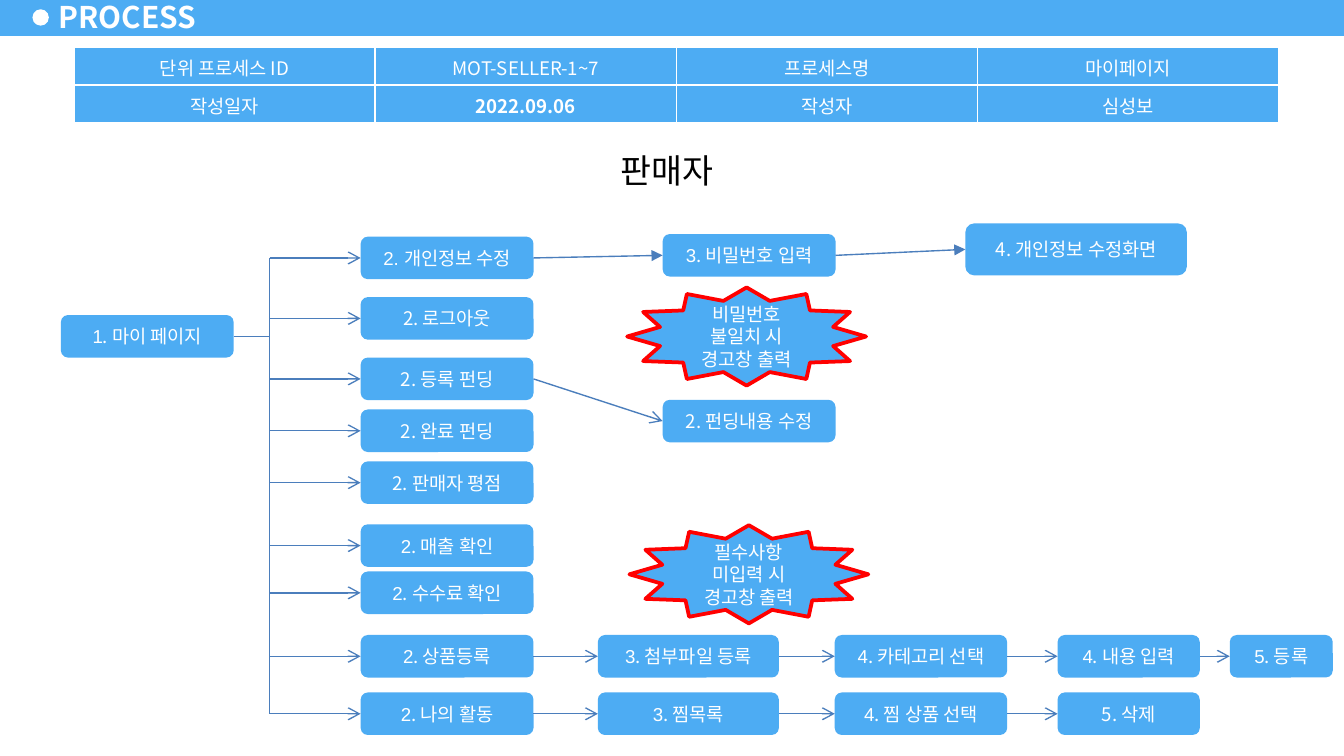
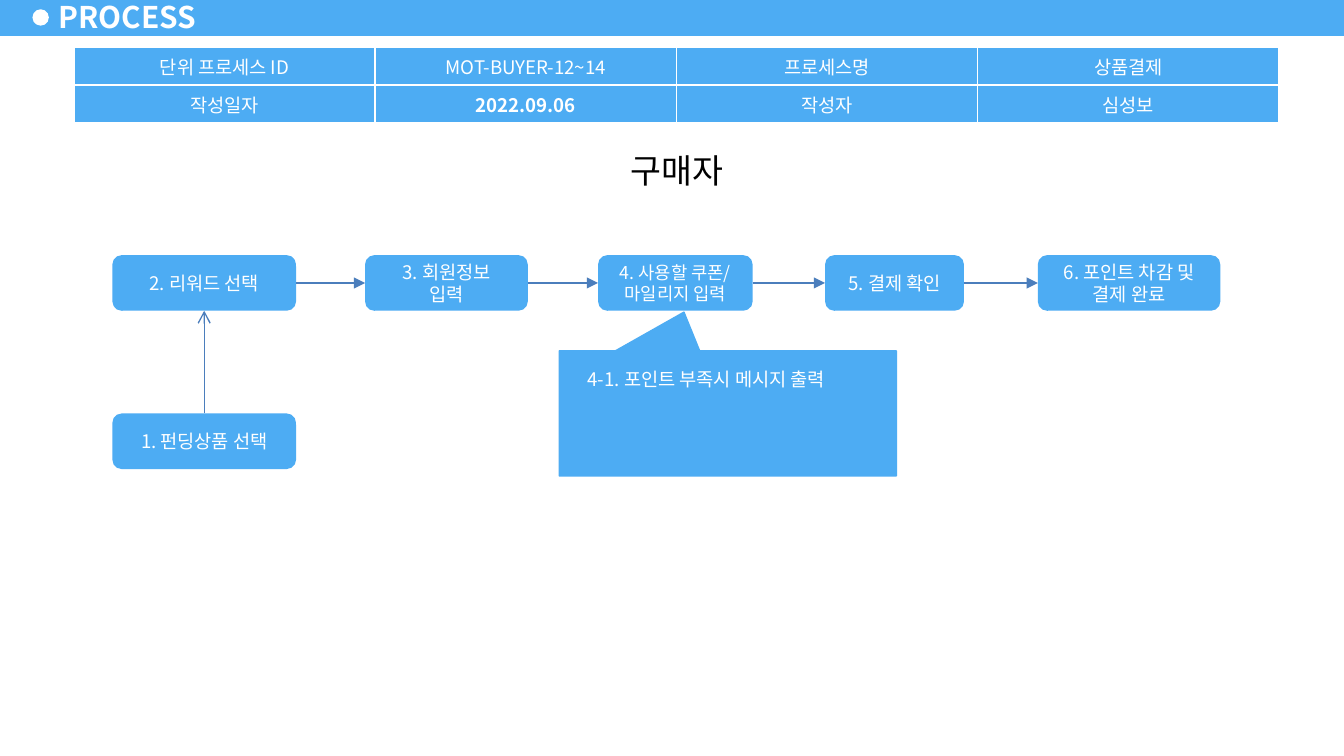
from dataclasses import dataclass

from lxml import etree
from pptx import Presentation
from pptx import util as u
from pptx.dml.color import RGBColor
from pptx.enum import shapes, text
from pptx.oxml.ns import qn

Pt = u.Pt
Kind = shapes.MSO_SHAPE
CENTER, LEFT_ALIGN = text.PP_ALIGN.CENTER, text.PP_ALIGN.LEFT
MIDDLE, UPPER = text.MSO_ANCHOR.MIDDLE, text.MSO_ANCHOR.TOP
TOP, LEFT, BOTTOM, RIGHT = range(4)  # connection sites of a box


@dataclass(frozen=True)
class Theme:
    blue: str = "4DACF3"
    white: str = "FFFFFF"
    black: str = "000000"
    warning: str = "FF0000"
    arrow: str = "4B7EBC"
    font: str = "Noto Sans CJK KR"
    digits: str = "Arial"
    title: float = 16
    heading: float = 18
    body: float = 10
    small: float = 9.5
    hairline: float = 0.75


THEME = Theme()
STEP_WIDTH, STEP_HEIGHT = 92.6, 22.8


def rgb(code):
    return RGBColor.from_string(code)


# Text and shapes
def style_run(run, size, color, bold=False, font=THEME.font):
    run.font.size = Pt(size)
    run.font.bold = bold
    run.font.name = font
    run.font.color.rgb = rgb(color)
    east_asian = etree.SubElement(run.font._element, qn("a:ea"))
    east_asian.set("typeface", THEME.font)


def write(frame, words, size=THEME.body, color=THEME.white, bold=False,
          align=CENTER, anchor=MIDDLE):
    frame.text = words
    frame.vertical_anchor = anchor
    for paragraph in frame.paragraphs:
        paragraph.alignment = align
        for run in paragraph.runs:
            style_run(run, size, color, bold)


def add_figure(slide, kind, left, top, width, height, fill=THEME.blue,
               line=None, line_width=THEME.hairline):
    figure = slide.shapes.add_shape(kind, Pt(left), Pt(top), Pt(width), Pt(height))
    figure.shadow.inherit = False
    figure.fill.solid()
    figure.fill.fore_color.rgb = rgb(fill)
    if line:
        figure.line.color.rgb = rgb(line)
        figure.line.width = Pt(line_width)
    else:
        figure.line.fill.background()
    return figure


def add_step(slide, label, left, middle, width=STEP_WIDTH, height=STEP_HEIGHT,
             size=THEME.body):
    """Process box; the part of the label before a bar is set in the digit font."""
    step = add_figure(slide, Kind.ROUNDED_RECTANGLE, left, middle - height / 2,
                      width, height)
    step.text_frame.word_wrap = True
    lead, _, rest = label.rpartition("|")
    write(step.text_frame, lead or rest, size)
    if lead:
        paragraph = step.text_frame.paragraphs[0]
        paragraph.runs[0].font.name = THEME.digits
        if rest:
            tail = paragraph.add_run()
            tail.text = rest
            style_run(tail, size, THEME.white)
    return step


def add_warning(slide, words, left, top):
    burst = add_figure(slide, Kind.STAR_12_POINT, left, top, 128, 52.6,
                       line=THEME.warning, line_width=2)
    burst.text_frame.word_wrap = False
    write(burst.text_frame, words)


# Lines
def add_line(slide, start, end, head=None):
    line = slide.shapes.add_connector(shapes.MSO_CONNECTOR.STRAIGHT,
                                      *(Pt(v) for v in (*start, *end)))
    line.line.color.rgb = rgb(THEME.arrow)
    line.line.width = Pt(THEME.hairline)
    if head:
        etree.SubElement(line.line._get_or_add_ln(), qn("a:tailEnd")).set("type", head)
    etree.SubElement(line._element.spPr, qn("a:effectLst"))
    return line


def link(slide, source, target, head="arrow", leave=RIGHT, enter=LEFT):
    line = add_line(slide, (0, 0), (0, 0), head)
    line.begin_connect(source, leave)
    line.end_connect(target, enter)


def link_chain(slide, steps, head="arrow"):
    for source, target in zip(steps, steps[1:]):
        link(slide, source, target, head)


# Parts shared by the slides
def add_band(slide):
    add_figure(slide, Kind.RECTANGLE, 0, 0, 720, 19.2)
    add_figure(slide, Kind.OVAL, 17.4, 5, 8.8, 8.8, fill=THEME.white)
    title = slide.shapes.add_textbox(Pt(25), Pt(-2.6), Pt(88), Pt(23)).text_frame
    title.word_wrap = False
    title.margin_left = title.margin_right = Pt(6.5)
    title.margin_top = title.margin_bottom = Pt(3)
    write(title, "PROCESS", THEME.title, bold=True, align=LEFT_ALIGN)


def border_cell(cell):
    properties = cell._tc.get_or_add_tcPr()
    for side in ("lnL", "lnR", "lnT", "lnB"):
        edge = etree.SubElement(properties, qn("a:" + side), w=str(Pt(1)))
        fill = etree.SubElement(edge, qn("a:solidFill"))
        etree.SubElement(fill, qn("a:srgbClr"), val=THEME.white)


def add_info_table(slide, process_id, process_name, padding):
    rows = [["단위 프로세스 ID", process_id, "프로세스명", process_name],
            ["작성일자", "2022.09.06", "작성자", "심성보"]]
    table = slide.shapes.add_table(2, 4, Pt(39.6), Pt(25.5), Pt(645.6), Pt(40.4)).table
    table.first_row = table.horz_banding = False
    for r, row in enumerate(rows):
        for c, words in enumerate(row):
            cell = table.cell(r, c)
            border_cell(cell)
            cell.fill.solid()
            cell.fill.fore_color.rgb = rgb(THEME.blue)
            cell.margin_top = cell.margin_bottom = Pt(padding)
            write(cell.text_frame, words, bold=(r, c) == (1, 1))
            cell.vertical_anchor = MIDDLE


def add_heading(slide, words, left, width, align=CENTER, indent=7.2):
    heading = add_figure(slide, Kind.RECTANGLE, left, 77, width, 29.2, fill=THEME.white)
    heading.text_frame.margin_left = Pt(indent)
    write(heading.text_frame, words, THEME.heading, THEME.black,
          align=align, anchor=UPPER)


def new_slide(deck, process_id, process_name, padding):
    slide = deck.slides.add_slide(deck.slide_layouts[6])
    add_band(slide)
    add_info_table(slide, process_id, process_name, padding)
    return slide


# Seller: a menu branching off one trunk line
def build_seller(deck):
    slide = new_slide(deck, "MOT-SELLER-1~7", "마이페이지", 3.6)
    add_heading(slide, "판매자", 285.8, 263.5, LEFT_ALIGN, 46.5)

    trunk, root_middle = 144.4, 180.2
    menu_left, detail_left = 193.2, 355
    menu = [("2. 개인정보 수정|", 138.2), ("2. 로그아웃", 170.6),
            ("2. 등록 펀딩", 203), ("2. 완료 펀딩", 230.8),
            ("2. 판매자 평점", 258.6), ("2|. 매출 확인", 292.3),
            ("2|. 수수료 확인", 317.6), ("2|. 상품등록", 351.6),
            ("2|. 나의 활동", 382.4)]

    root = add_step(slide, "1|. 마이 페이지", 32.6, root_middle)
    stem = add_line(slide, (trunk, root_middle), (trunk, root_middle))
    stem.begin_connect(root, RIGHT)
    for end in (menu[0][1], menu[-1][1]):
        add_line(slide, (trunk, root_middle), (trunk, end))

    items = []
    for label, middle in menu:
        item = add_step(slide, label, menu_left, middle)
        add_line(slide, (trunk, middle), (menu_left, middle), "arrow").end_connect(item, LEFT)
        items.append(item)

    # Profile and funding details
    password = add_step(slide, "3|. 비밀번호 입력", detail_left, 136.8)
    profile = add_step(slide, "4. 개인정보 수정화면", 517.2, 133.6, 118.6, 27.8)
    link_chain(slide, [items[0], password, profile], "triangle")
    funding = add_step(slide, "2. 펀딩내용 수정", detail_left, 225.6)
    link(slide, items[2], funding)

    # Product registration and activity rows
    columns = [(320.3, 97), (447.2, 92.4), (566.6, 76.2), (658.8, 55.2)]
    chains = [(7, ["3|. 첨부파일 등록", "4|. 카테고리 선택", "4|. 내용 입력", "5|. 등록"]),
              (8, ["3|. 찜목록", "4|. 찜 상품 선택", "5. 삭제"])]
    for index, labels in chains:
        steps = [add_step(slide, label, left, menu[index][1], width)
                 for label, (left, width) in zip(labels, columns)]
        link_chain(slide, [items[index], *steps])

    add_warning(slide, "비밀번호\n불일치 시\n경고창 출력", 336, 154)
    add_warning(slide, "필수사항\n미입력 시\n경고창 출력", 337.2, 281.4)


# Buyer: one row of steps with a callout
def build_buyer(deck):
    slide = new_slide(deck, "MOT-BUYER-12~14", "상품결제", 2.4)
    add_heading(slide, "구매자", 234, 257)

    height = 29.8
    stages = [("2. 리워드 선택", 60.2, 98.4, THEME.body),
              ("3. 회원정보\n입력", 195.6, 87.2, THEME.body),
              ("4. 사용할 쿠폰/ 마일리지 입력", 320.4, 82.8, THEME.small),
              ("5. 결제 확인", 442, 74.4, THEME.body),
              ("6. 포인트 차감 및\n결제 완료", 556, 97.8, THEME.body)]
    steps = [add_step(slide, label, left, 151.6, width, height, size)
             for label, left, width, size in stages]
    link_chain(slide, steps, "triangle")

    product = add_step(slide, "1. 펀딩상품 선택", 60.2, 236.4, 98.4, height)
    link(slide, product, steps[0], leave=TOP, enter=BOTTOM)

    shortage = add_figure(slide, Kind.RECTANGULAR_CALLOUT, 299.6, 188, 180.6, 67,
                          line=THEME.blue)
    shortage.adjustments[0], shortage.adjustments[1] = -0.13, -0.81
    shortage.text_frame.word_wrap = True
    shortage.text_frame.margin_left = Pt(15.2)
    shortage.text_frame.margin_top = Pt(9.2)
    write(shortage.text_frame, "4-1. 포인트 부족시 메시지 출력",
          align=LEFT_ALIGN, anchor=UPPER)


def main():
    deck = Presentation()
    deck.slide_width, deck.slide_height = Pt(720), Pt(405)
    build_seller(deck)
    build_buyer(deck)
    deck.save("out.pptx")


main()
